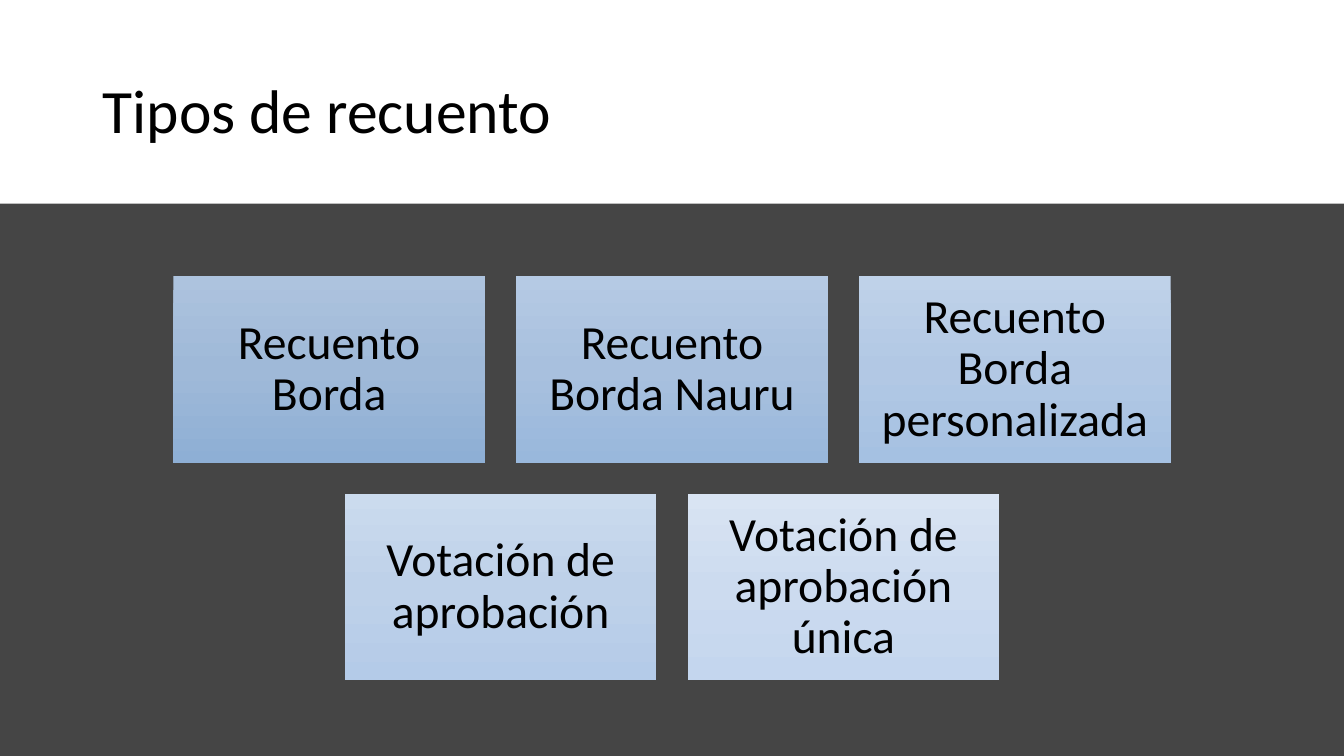
from copy import deepcopy

from pptx import Presentation
from pptx.dml.color import RGBColor
from pptx.enum.shapes import MSO_SHAPE
from pptx.enum.text import MSO_ANCHOR, PP_ALIGN
from pptx.oxml.ns import qn
from pptx.util import Inches, Pt


def color(code):
    return RGBColor.from_string(code)


def write(frame, text, size):
    """Put one black line of text, centred in height, in the frame."""
    frame.word_wrap = True
    frame.vertical_anchor = MSO_ANCHOR.MIDDLE
    para = frame.paragraphs[0]
    para.text = text
    para.line_spacing = 0.9
    para.font.name = "Calibri"
    para.font.size = Pt(size)
    para.font.color.rgb = color("000000")
    return para


WIDTH = 13.33
BOX_W, BOX_H, GAP = 3.09, 1.85, 0.31
TOP = 2.74

# Each box: text, then its gradient from top to bottom
ROWS = [
    [
        ("Recuento Borda", ["ADC3DE", "9FB9D8", "8EAFD5"]),
        ("Recuento Borda Nauru", ["B5CAE4", "A8C0DE", "99B8DC"]),
        ("Recuento Borda personalizada", ["BFD2E9", "B2C8E4", "A5C1E2"]),
    ],
    [
        ("Votación de aprobación", ["CBDBEE", "BED1E9", "B4CBE8"]),
        ("Votación de aprobación única", ["D9E4F3", "CCDBEF", "C4D6EE"]),
    ],
]

deck = Presentation()
deck.slide_width = Inches(WIDTH)
deck.slide_height = Inches(7.5)
slide = deck.slides.add_slide(deck.slide_layouts[6])
slide.background.fill.solid()
slide.background.fill.fore_color.rgb = color("454545")

# Title on a white band
band = slide.shapes.add_shape(
    MSO_SHAPE.RECTANGLE, 0, Inches(-0.01), Inches(WIDTH), Inches(2.03))
band.shadow.inherit = False
band.fill.solid()
band.fill.fore_color.rgb = color("FFFFFF")
band.line.fill.background()

title = slide.shapes.add_textbox(
    Inches(0.92), Inches(0.4), Inches(11.5), Inches(1.45))
write(title.text_frame, "Tipos de recuento", 44)

# Rows of boxes, each row centred on the slide
for row, items in enumerate(ROWS):
    span = len(items) * (BOX_W + GAP) - GAP
    left = (WIDTH - span) / 2
    top = TOP + row * (BOX_H + GAP)
    for col, (text, shades) in enumerate(items):
        box = slide.shapes.add_shape(
            MSO_SHAPE.RECTANGLE, Inches(left + col * (BOX_W + GAP)),
            Inches(top), Inches(BOX_W), Inches(BOX_H))
        box.shadow.inherit = False
        box.line.fill.background()

        # A new gradient has two stops; add one in the middle
        box.fill.gradient()
        box.fill.gradient_angle = 270
        stops = box.element.spPr.find(qn("a:gradFill")).find(qn("a:gsLst"))
        stops.insert(1, deepcopy(stops[0]))
        for index, (stop, shade) in enumerate(
                zip(box.fill.gradient_stops, shades)):
            stop.position = index / 2
            stop.color.rgb = color(shade)

        frame = box.text_frame
        frame.margin_left = frame.margin_right = Inches(0.14)
        frame.margin_top = frame.margin_bottom = Inches(0.14)
        write(frame, text, 34).alignment = PP_ALIGN.CENTER

deck.save("out.pptx")
